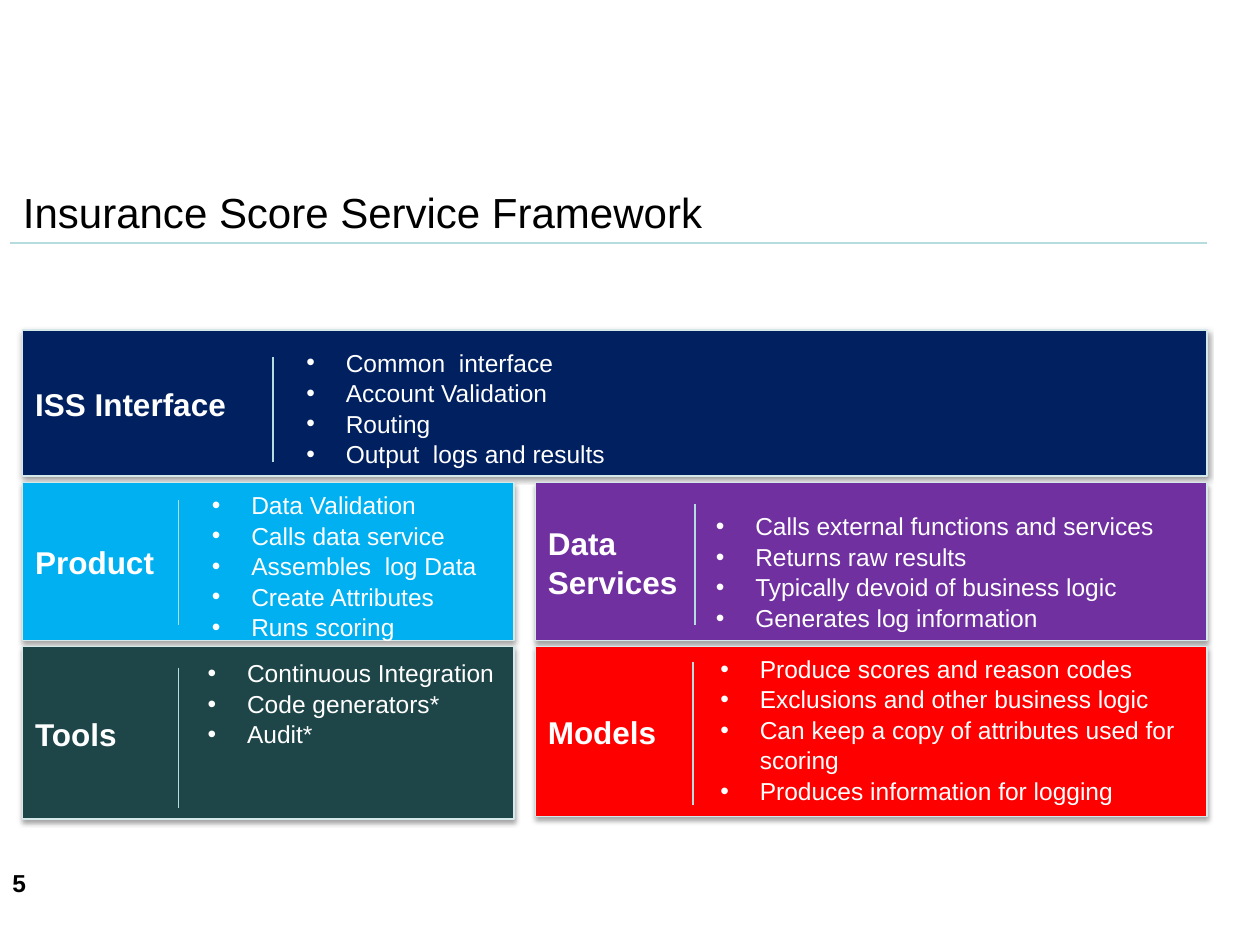
from lxml import etree
from pptx import Presentation
from pptx.dml.color import RGBColor
from pptx.enum.shapes import MSO_CONNECTOR, MSO_SHAPE
from pptx.enum.text import MSO_ANCHOR, MSO_AUTO_SIZE, PP_ALIGN
from pptx.oxml import parse_xml
from pptx.oxml.ns import nsdecls, qn
from pptx.util import Pt

COLORS = {
    "black": "000000", "white": "FFFFFF", "rule": "B6DCDF", "border": "D5E8EA",
    "navy": "002060", "sky": "00B0F0", "purple": "7030A0",
    "red": "FF0000", "teal": "1E4649",
}
FONT = "Arial"
LINE_SPACING = 1.04
BULLET_INDENT = 22.5

# Panel columns (left, width) and rows (top)
FULL, LEFT, RIGHT = (13, 676.8), (13, 280.8), (306, 383.8)
ROW_TOPS = (188.6, 275.8, 369.4)

# divider: x, top, bottom; list: left, top, width, height
PANELS = [
    {"label": ["ISS Interface"], "color": "navy", "column": FULL, "row": 0,
     "height": 83.5, "shadow": (38, 1.6), "divider": (156, 204, 264),
     "list": (168, 194.4, 297.4, 147.6),
     "items": ["Common  interface", "Account Validation", "Routing",
               "Output  logs and results"]},
    {"label": ["Product"], "color": "sky", "column": LEFT, "row": 1,
     "height": 90, "shadow": (35, 1.8), "divider": (102, 286, 357),
     "list": (114, 275.8, 192.2, 164.9),
     "items": ["Data Validation", "Calls data service", "Assembles  log Data",
               "Create Attributes", "Runs scoring"]},
    {"label": ["Data", "Services"], "color": "purple", "column": RIGHT, "row": 1,
     "height": 90, "shadow": (35, 1.8), "divider": (397.2, 288, 357),
     "list": (402, 288, 297.4, 147.6),
     "items": ["Calls external functions and services", "Returns raw results",
               "Typically devoid of business logic", "Generates log information"]},
    {"label": ["Tools"], "color": "teal", "column": LEFT, "row": 2,
     "height": 98.6, "shadow": (35, 1.8), "divider": (102, 381.6, 462),
     "list": (111.6, 372, 192.2, 131),
     "items": ["Continuous Integration", "Code generators*", "Audit*"]},
    {"label": ["Models"], "color": "red", "column": RIGHT, "row": 2,
     "height": 97.2, "shadow": (35, 1.8), "divider": (396, 378, 460),
     "list": (404.6, 369.4, 297.4, 164.9),
     "items": ["Produce scores and reason codes",
               "Exclusions and other business logic",
               "Can keep a copy of attributes used for scoring",
               "Produces information for logging"]},
]


def rgb(name):
    """Return the named colour."""
    return RGBColor.from_string(COLORS[name])


def write(frame, lines, size, color, bold=False, bullets=False):
    """Fill a text frame with one paragraph per line."""
    frame.word_wrap = True
    for i, line in enumerate(lines):
        paragraph = frame.paragraphs[0] if i == 0 else frame.add_paragraph()
        paragraph.alignment = PP_ALIGN.LEFT
        paragraph.line_spacing = LINE_SPACING
        run = paragraph.add_run()
        run.text = line
        run.font.name, run.font.size, run.font.bold = FONT, Pt(size), bold
        run.font.color.rgb = rgb(color)
        if bullets:
            props = paragraph._p.get_or_add_pPr()
            props.set("marL", str(Pt(BULLET_INDENT)))
            props.set("indent", str(-Pt(BULLET_INDENT)))
            etree.SubElement(props, qn("a:buFont")).set("typeface", FONT)
            etree.SubElement(props, qn("a:buChar")).set("char", "•")


def add_text(slide, box, lines, size, color, grow=True, **style):
    """Add a text box at (left, top, width, height)."""
    frame = slide.shapes.add_textbox(*map(Pt, box)).text_frame
    write(frame, lines, size, color, **style)
    frame.auto_size = MSO_AUTO_SIZE.SHAPE_TO_FIT_TEXT if grow else MSO_AUTO_SIZE.NONE


def add_rule(slide, x1, y1, x2, y2):
    """Add a thin straight line without a shadow."""
    rule = slide.shapes.add_connector(MSO_CONNECTOR.STRAIGHT, *map(Pt, (x1, y1, x2, y2)))
    rule.line.color.rgb = rgb("rule")
    rule.line.width = Pt(0.75)
    etree.SubElement(rule._element.spPr, qn("a:effectLst"))


def add_shadow(shape, opacity, distance):
    """Give a shape a soft shadow that falls straight down."""
    shape.shadow.inherit = False
    effects = shape._element.spPr.find(qn("a:effectLst"))
    effects.append(parse_xml(
        f'<a:outerShdw {nsdecls("a")} blurRad="{Pt(3.1)}" dist="{Pt(distance)}" '
        f'dir="5400000" rotWithShape="0"><a:srgbClr val="{COLORS["black"]}">'
        f'<a:alpha val="{opacity * 1000}"/></a:srgbClr></a:outerShdw>'))


def add_panel(slide, panel):
    """Add a coloured panel with its label, divider and bullet list."""
    left, width = panel["column"]
    box = (left, ROW_TOPS[panel["row"]], width, panel["height"])
    shape = slide.shapes.add_shape(MSO_SHAPE.FLOWCHART_PROCESS, *map(Pt, box))
    shape.fill.solid()
    shape.fill.fore_color.rgb = rgb(panel["color"])
    shape.line.color.rgb = rgb("border")
    shape.line.width = Pt(0.75)
    add_shadow(shape, *panel["shadow"])
    shape.text_frame.vertical_anchor = MSO_ANCHOR.MIDDLE
    write(shape.text_frame, panel["label"], 18, "white", bold=True)
    x, top, bottom = panel["divider"]
    add_rule(slide, x, top, x, bottom)
    add_text(slide, panel["list"], panel["items"], 14, "white", bullets=True)


def main():
    """Build and save the slide."""
    deck = Presentation()
    deck.slide_width, deck.slide_height = Pt(720), Pt(540)
    slide = deck.slides.add_slide(deck.slide_layouts[6])
    add_text(slide, (6, 102.2, 480, 36), ["Insurance Score Service Framework"], 24, "black")
    add_rule(slide, 6, 138.8, 690, 138.8)
    add_text(slide, (0, 492, 168, 37.5), ["5"], 14, "black", grow=False, bold=True)
    for panel in PANELS:
        add_panel(slide, panel)
    deck.save("out.pptx")


main()
